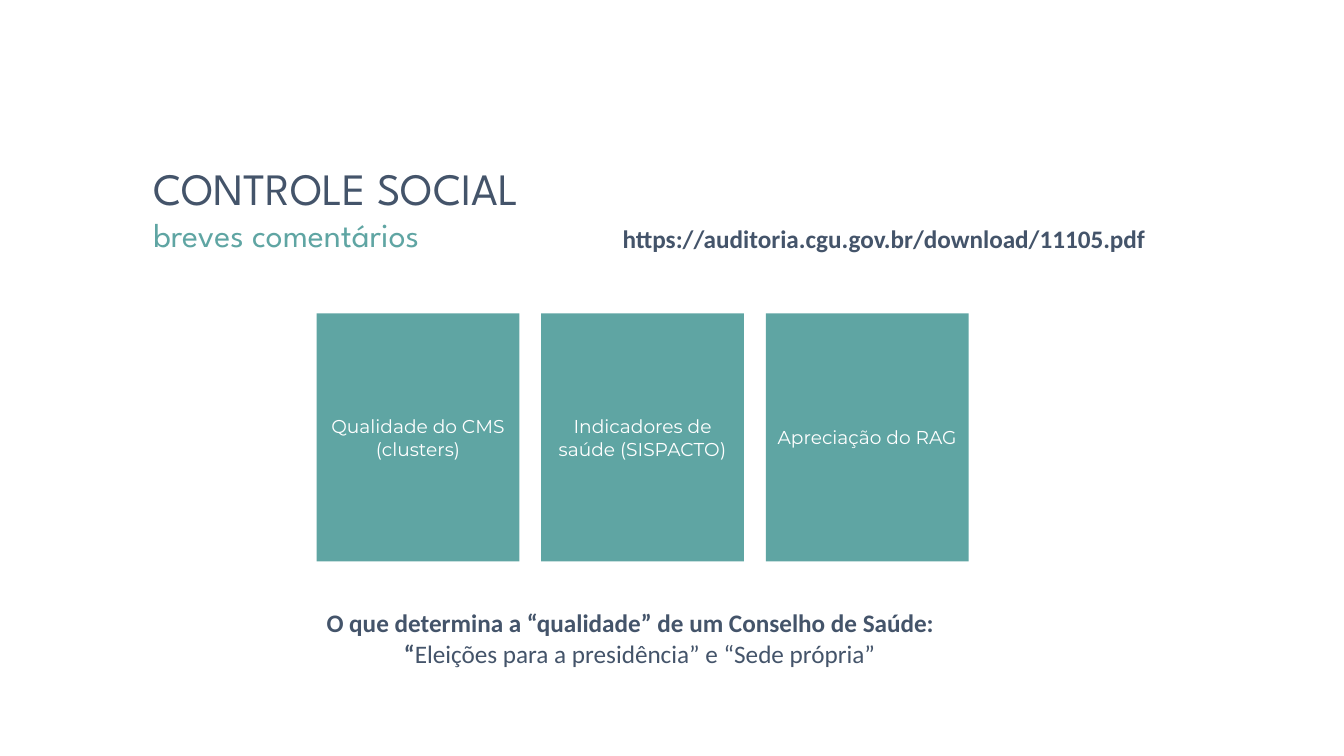
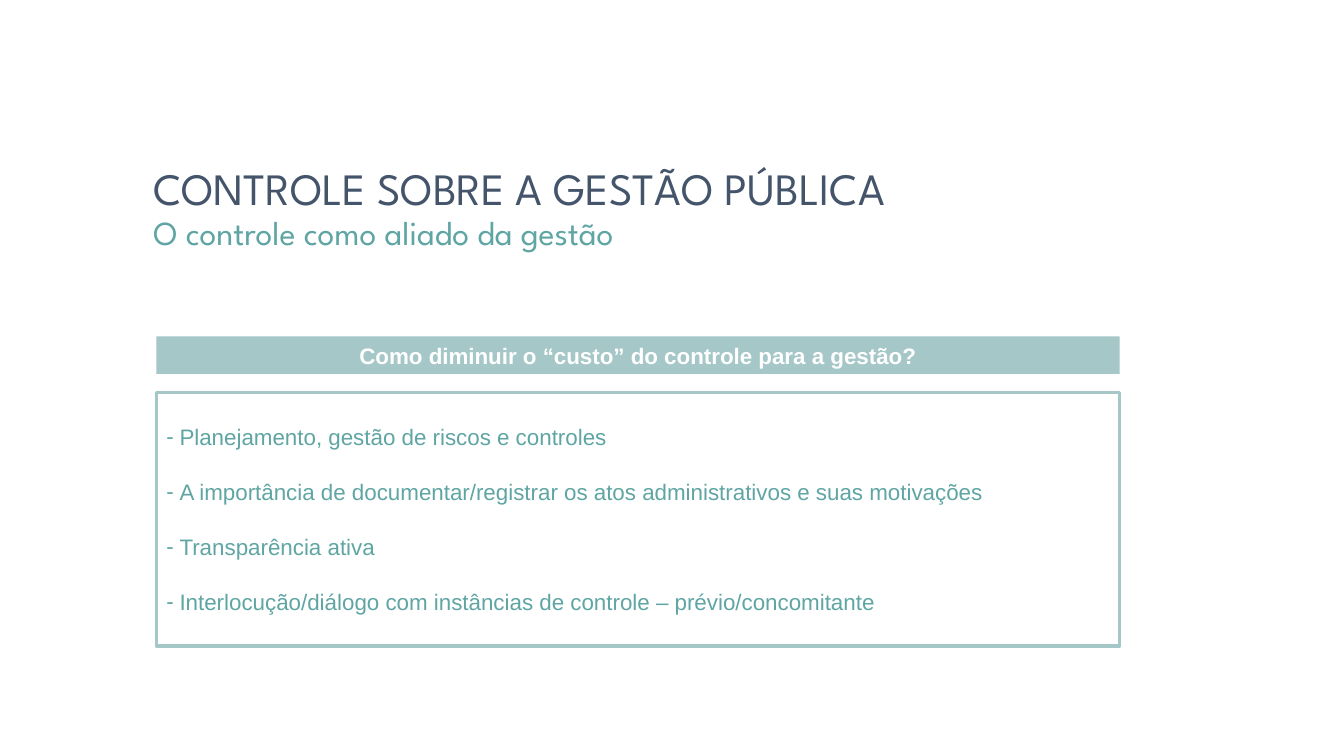
"""Build two slides on social control and the control of public management."""
from pptx import Presentation
from pptx.dml.color import RGBColor as Rgb
from pptx.enum.shapes import MSO_SHAPE as Kind
from pptx.enum.text import MSO_ANCHOR as Anchor, MSO_AUTO_SIZE as Fit, PP_ALIGN as Align
from pptx.oxml.ns import qn
from pptx.util import Cm, Pt
from lxml.etree import SubElement as Node

NAVY, TEAL, PALE, WHITE = map(Rgb.from_string, ("44546A", "5FA5A3", "A5C7C7", "FFFFFF"))
THEME = {
    "title": (NAVY, {"name": "League Spartan", "size": Pt(32), "bold": False}),
    "sub": (TEAL, {"name": "League Spartan", "size": Pt(24), "bold": False}),
    "strong": (NAVY, {"name": "Calibri", "size": Pt(18), "bold": True}),
    "plain": (NAVY, {"name": "Calibri", "size": Pt(18), "bold": False}),
    "card": (WHITE, {"name": "Montserrat", "size": Pt(13.3), "bold": False}),
    "band": (WHITE, {"name": "Arial", "size": Pt(16), "bold": True}),
    "list": (TEAL, {"name": "Arial", "size": Pt(16), "bold": False}),
}
LEFT, TOP = 3.61, 3.91
EDGE, WIDE = 3.94, 24.28


def ink(par, text, style):
    run = par.add_run()
    run.text = text
    tint, form = THEME[style]
    run.font.color.rgb = tint
    for key, val in form.items():
        setattr(run.font, key, val)


def put(shape, box, lines, style, align=Align.LEFT, **extra):
    for key, val in zip(("left", "top", "width", "height"), box):
        setattr(shape, key, Cm(val))
    frame = shape.text_frame
    form = {"word_wrap": True, "auto_size": Fit.NONE, "vertical_anchor": Anchor.TOP}
    for key, val in (form | extra).items():
        setattr(frame, key, val)
    for num, line in enumerate(lines):
        par = frame.add_paragraph() if num else frame.paragraphs[0]
        par.alignment = align
        par.space_before = Pt(0)
        ink(par, line, style)
    return frame.paragraphs


deck = Presentation()
deck.slide_width, deck.slide_height = Cm(33.87), Cm(19.05)

heads = [
    (1, "CONTROLE SOCIAL", "breves comentários", 5.26),
    (3, "CONTROLE SOBRE A GESTÃO PÚBLICA", "O controle como aliado da gestão", 5.21),
]
for form, title, sub, top in heads:
    slide = deck.slides.add_slide(deck.slide_layouts[form])
    put(slide.shapes.title, (LEFT, TOP, 24.61, 1.63), [title], "title")
    pars = put(slide.placeholders[1], (LEFT, top, 20.32, 1.27), [sub], "sub")
    prop = pars[0]._p.get_or_add_pPr()
    prop.set("marL", "0")
    prop.set("indent", "0")
    Node(prop, qn("a:buNone"))

social, public = deck.slides

link = social.shapes.add_textbox(0, 0, 0, 0)
put(link, (15.44, 5.51, 13.79, 1.02), ["https://auditoria.cgu.gov.br/download/11105.pdf"],
    "strong", word_wrap=False)

cards = ["Qualidade do CMS (clusters)", "Indicadores de saúde (SISPACTO)", "Apreciação do RAG"]
for num, text in enumerate(cards):
    card = social.shapes.add_shape(Kind.RECTANGLE, 0, 0, 0, 0)
    card.shadow.inherit = False
    card.fill.solid()
    card.fill.fore_color.rgb = TEAL
    card.line.fill.background()
    put(card, (7.98 + num * 5.66, 7.9, 5.11, 6.25), [text], "card", Align.CENTER,
        vertical_anchor=Anchor.MIDDLE, margin_left=Cm(0.2), margin_right=Cm(0.2))

note = social.shapes.add_textbox(0, 0, 0, 0)
pars = put(note, (7.98, 15.19, 16.28, 1.8),
           ["O que determina a “qualidade” de um Conselho de Saúde:", "“"], "strong")
pars[1].alignment = Align.CENTER
ink(pars[1], "Eleições para a presidência” e “Sede própria”", "plain")

band = public.shapes.add_shape(Kind.RECTANGLE, 0, 0, 0, 0)
band.shadow.inherit = False
band.fill.solid()
band.fill.fore_color.rgb = PALE
band.line.fill.background()
put(band, (EDGE, 8.48, WIDE, 0.94), ["Como diminuir o “custo” do controle para a gestão?"],
    "band", Align.CENTER, vertical_anchor=Anchor.MIDDLE)

points = [
    "Planejamento, gestão de riscos e controles",
    "A importância de documentar/registrar os atos administrativos e suas motivações",
    "Transparência ativa",
    "Interlocução/diálogo com instâncias de controle – prévio/concomitante",
]
panel = public.placeholders[2]
panel.line.color.rgb = PALE
panel.line.width = Pt(2.25)
pars = put(panel, (EDGE, 9.88, WIDE, 6.4), points, "list", vertical_anchor=Anchor.MIDDLE)
for num, par in enumerate(pars):
    par.space_before = Pt(20 if num else 0)
    prop = par._p.get_or_add_pPr()
    prop.set("marL", str(Cm(0.33)))
    prop.set("indent", str(-Cm(0.33)))
    Node(prop, qn("a:buFont"), typeface="Arial")
    Node(prop, qn("a:buChar"), char="-")

deck.save("out.pptx")
